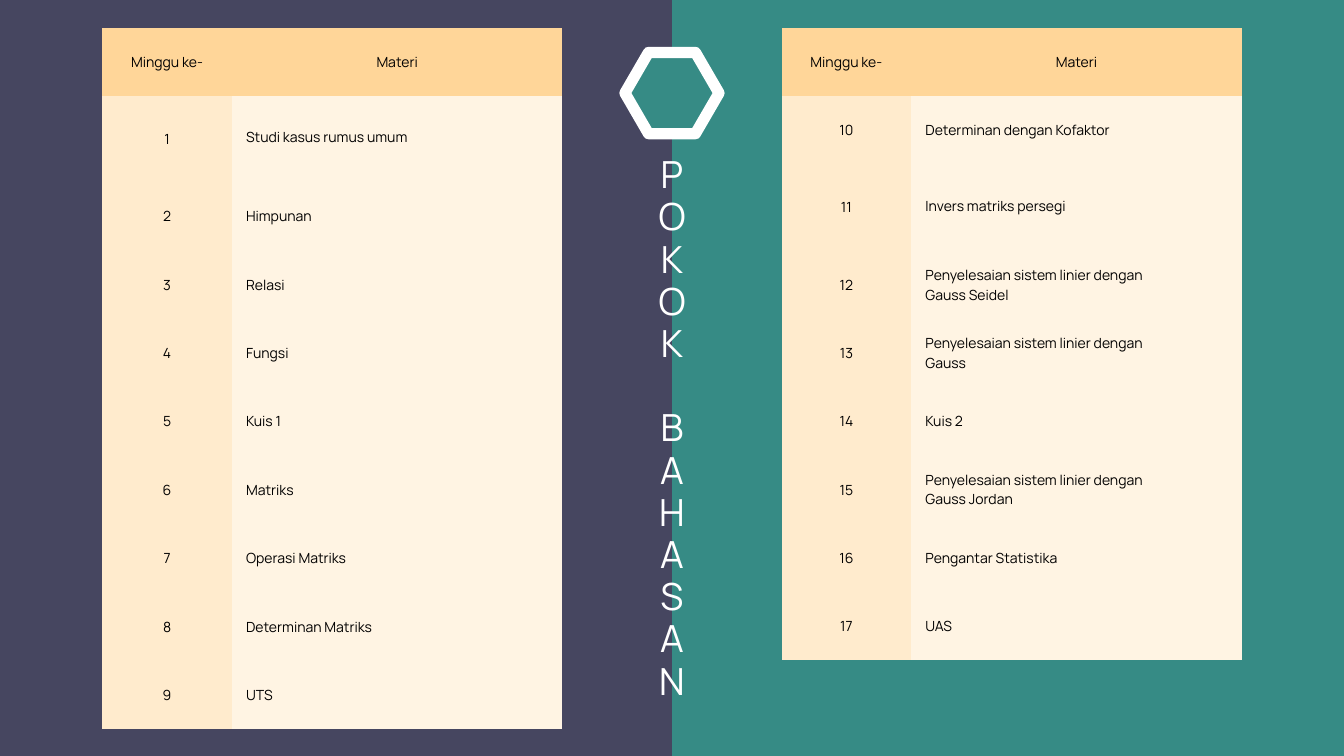
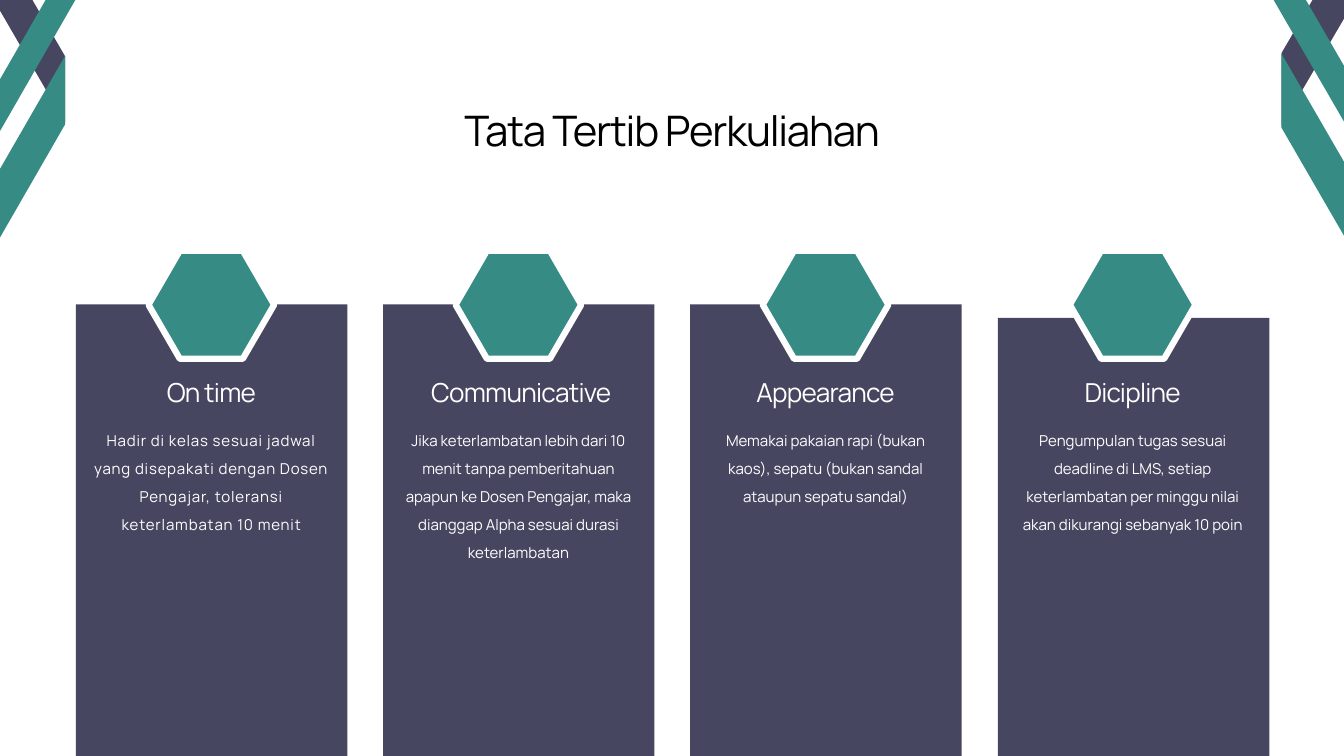
from lxml.etree import SubElement
from pptx import Presentation
from pptx.dml.color import RGBColor
from pptx.enum.shapes import MSO_SHAPE
from pptx.enum.text import MSO_ANCHOR, MSO_AUTO_SIZE, PP_ALIGN
from pptx.oxml.ns import qn
from pptx.util import Inches, Pt

# Grid of 20 square columns by 11.25 rows
COLS, ROWS, UNIT = 20, 11.25, Inches(1)
FONT = "Manrope"
NAVY, TEAL, WHITE, BLACK = "464660", "368B85", "FFFFFF", "000000"
GOLD, SAND, CREAM = "FFD699", "FFEBCD", "FFF4E3"

WEEKS_A = ["Studi kasus rumus umum", "Himpunan", "Relasi", "Fungsi", "Kuis 1",
           "Matriks", "Operasi Matriks", "Determinan Matriks", "UTS"]
SOLVE = "Penyelesaian sistem linier dengan\n"
WEEKS_B = ["Determinan dengan Kofaktor", "Invers matriks persegi",
           SOLVE + "Gauss Seidel", SOLVE + "Gauss", "Kuis 2",
           SOLVE + "Gauss Jordan", "Pengantar Statistika", "UAS"]

# Heading, body, body height, body letter spacing, heading shift, left shift, drop
RULES = [
    ("On time", "Hadir di kelas sesuai jadwal yang disepakati dengan Dosen "
     "Pengajar, toleransi keterlambatan 10 menit", 1.65, 0.9, 0, 0, 0),
    ("Communicative", "Jika keterlambatan lebih dari 10 menit tanpa "
     "pemberitahuan apapun ke Dosen Pengajar, maka dianggap Alpha sesuai "
     "durasi keterlambatan", 2.9, 0, 0.04, 0, 0),
    ("Appearance", "Memakai pakaian rapi (bukan kaos), sepatu (bukan sandal "
     "ataupun sepatu sandal)", 1.24, 0, 0, 0, 0),
    ("Dicipline", "Pengumpulan tugas sesuai deadline di LMS, setiap "
     "keterlambatan per minggu nilai akan dikurangi sebanyak 10 poin",
     2.49, 0, 0, 0.01, 0.2),
]

# Corner ribbons: colour, start, end, upright depth
BANDS = [
    (NAVY, (20.22, -1.18), (19.07, 0.79), 1.08),
    (NAVY, (-0.33, -1.4), (0.97, 0.84), 0.99),
    (TEAL, (19.07, 0.8), (21.54, 5.07), 1.1),
    (TEAL, (0.97, 0.83), (-1.04, 4.32), 1.02),
    (TEAL, (18.49, -1.63), (21.77, 4.04), 0.83),
    (TEAL, (1.15, -0.82), (-0.58, 2.19), 0.77),
]


def rgb(code):
    return RGBColor.from_string(code)


def span(*cells):
    return [round(cell * UNIT) for cell in cells]


def write(frame, text, size=15, color=BLACK, align=PP_ALIGN.CENTER,
          lead=21, spc=0, inset=0):
    """Fill a frame, one paragraph per line; an empty line becomes a gap."""
    frame.word_wrap = True
    frame.auto_size = MSO_AUTO_SIZE.NONE
    frame.margin_left = frame.margin_right = inset
    frame.margin_top = frame.margin_bottom = inset
    for nth, block in enumerate(text.split("\n")):
        para = frame.add_paragraph() if nth else frame.paragraphs[0]
        para.alignment = align
        para.line_spacing = Pt(lead)
        para.space_before = Pt(lead if block.startswith("\t") else 0)
        run = para.add_run()
        run.text = block.strip()
        run.font.name, run.font.size = FONT, Pt(size)
        run.font.color.rgb = rgb(color)
        if spc:
            run.font._element.set("spc", str(round(spc * 100)))


def label(slide, box, text, **form):
    write(slide.shapes.add_textbox(*span(*box)).text_frame, text, **form)


def title(slide, box, text, **form):
    head = slide.shapes.title
    head.left, head.top, head.width, head.height = span(*box)
    head.text_frame.vertical_anchor = MSO_ANCHOR.TOP
    write(head.text_frame, text, **form)
    # Bring the title to the front
    head.element.getparent().append(head.element)


def paint(shape, fill, edge=0):
    shape.shadow.inherit = False
    shape.fill.solid()
    shape.fill.fore_color.rgb = rgb(fill)
    if edge:
        shape.line.color.rgb = rgb(WHITE)
        shape.line.width = Pt(edge)
    else:
        shape.line.fill.background()
    return shape


def block(slide, box, fill):
    paint(slide.shapes.add_shape(MSO_SHAPE.RECTANGLE, *span(*box)), fill)


def hexa(slide, box, edge):
    shape = slide.shapes.add_shape(MSO_SHAPE.HEXAGON, *span(*box))
    shape.adjustments[0] = 0.29
    paint(shape, TEAL, edge)


def band(slide, fill, start, end, depth):
    (x1, y1), (x2, y2) = start, end
    pts = [(x1, y1), (x2, y2), (x2, y2 + depth), (x1, y1 + depth)]
    pts = [span(*pt) for pt in pts]
    form = slide.shapes.build_freeform(*pts[0])
    form.add_line_segments(pts[1:])
    paint(form.convert_to_shape(), fill)


def cell_text(cell, text, fill, **form):
    props = cell._tc.get_or_add_tcPr()
    for side in "LRTB":
        line = SubElement(props, qn("a:ln" + side), w="0")
        SubElement(SubElement(line, qn("a:solidFill")), qn("a:srgbClr"), val=GOLD)
    cell.fill.solid()
    cell.fill.fore_color.rgb = rgb(fill)
    cell.vertical_anchor = MSO_ANCHOR.MIDDLE
    inset = span(0.21)[0]
    cell.margin_left = cell.margin_right = inset
    cell.margin_top = cell.margin_bottom = inset
    write(cell.text_frame, text, **form)


def plan(slide, box, first, topics, tall, high, lead):
    """Week table; one tall row has tighter leading, the others are equal."""
    count = len(topics) + 1
    table = slide.shapes.add_table(count, 2, *span(*box)).table
    table.first_row = table.horz_banding = False
    table.columns[0].width, table.columns[1].width = span(0.282 * box[2], 0.718 * box[2])
    even = (box[3] - high) / (count - 1)
    for nth, row in enumerate(table.rows):
        row.height = span(high if nth == tall else even)[0]
    for col, name in enumerate(["Minggu ke-", "Materi"]):
        cell_text(table.cell(0, col), name, GOLD)
    for nth, topic in enumerate(topics, 1):
        cell_text(table.cell(nth, 0), str(first + nth - 1), SAND)
        cell_text(table.cell(nth, 1), topic, CREAM, align=PP_ALIGN.LEFT,
                  lead=lead if nth == tall else 21)


def card(slide, left, top, rule):
    head, body, high, spc, shift, nudge, drop = rule
    block(slide, (left + nudge, top + drop, 4.04, 7.26 - drop), NAVY)
    hexa(slide, (left + 1.08, top - 0.8, 1.87, 1.61), 6.75)
    label(slide, (left + 0.35 + shift, top + 1.1, 3.33, 0.48), head,
          size=28, color=WHITE, lead=31.6, spc=-0.8)
    label(slide, (left + 0.24, top + 1.74, 3.55, high), body,
          size=16.1, color=WHITE, lead=30, spc=spc)


def start(deck, back):
    slide = deck.slides.add_slide(deck.slide_layouts[5])
    slide.background.fill.solid()
    slide.background.fill.fore_color.rgb = rgb(back)
    return slide


def topics(deck):
    slide = start(deck, TEAL)
    # Left half and badge
    block(slide, (-1.28, -0.56, COLS / 2 + 1.28, 13.11), NAVY)
    hexa(slide, (9.3, 0.78, 1.4, 1.21), 12)
    # Upright title, with a gap before the second word
    words = ["\n".join(word) for word in ("POKOK", "BAHASAN")]
    title(slide, (9.6, 2.29, 0.8, 8.18), "\n\t".join(words),
          size=40, color=WHITE, lead=45.2, spc=-1.6)
    # Week tables
    plan(slide, (1.52, 0.41, 6.85, 10.44), 1, WEEKS_A, 1, 1.28, 16.8)
    plan(slide, (11.63, 0.41, 6.85, 9.41), 10, WEEKS_B, 2, 1.3, 18.4)


def conduct(deck):
    slide = start(deck, WHITE)
    # Four equally spaced cards
    for nth, rule in enumerate(RULES):
        card(slide, 1.13 + 4.57 * nth, 4.53, rule)
    # Corner ribbons
    for ribbon in BANDS:
        band(slide, *ribbon)
    title(slide, (5.93, 1.6, 8.14, 0.75), "Tata Tertib Perkuliahan",
          size=45, lead=50.8, spc=-1.3)


def main():
    deck = Presentation()
    deck.slide_width, deck.slide_height = span(COLS, ROWS)
    topics(deck)
    conduct(deck)
    deck.save("out.pptx")


if __name__ == "__main__":
    main()
